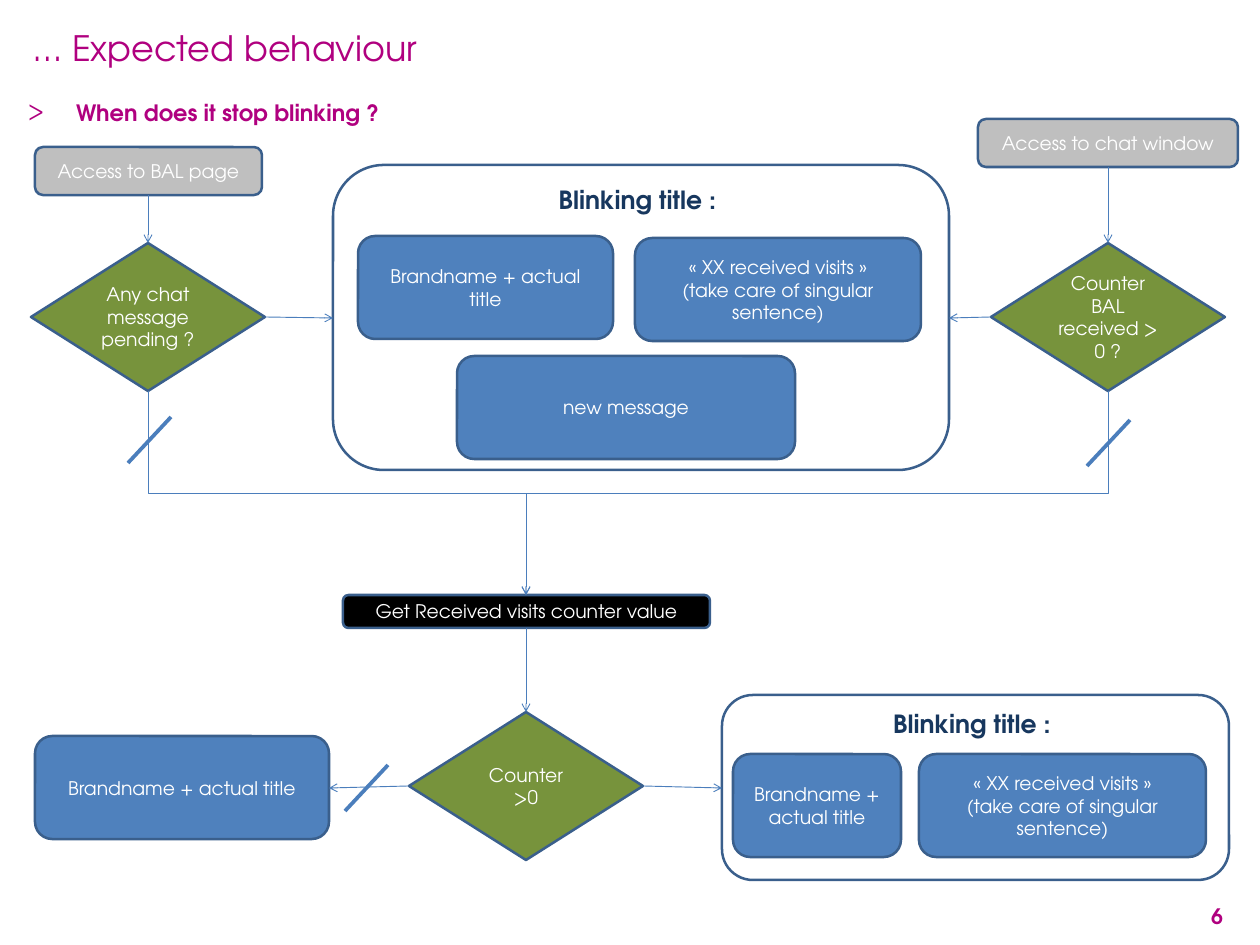
from pptx import Presentation
from pptx.dml.color import RGBColor
from pptx.enum.shapes import MSO_CONNECTOR, MSO_SHAPE
from pptx.enum.text import MSO_ANCHOR, PP_ALIGN
from pptx.oxml.ns import qn
from pptx.util import Pt
from lxml.etree import SubElement

PX = 10160
FONT = "TeX Gyre Adventor"
COLORS = {
    "magenta": "B0007F",
    "navy": "17375E",
    "white": "FFFFFF",
    "grey": "BFBFBF",
    "black": "000000",
    "green": "77933C",
    "blue": "4F81BD",
    "border": "3A5F8C",
    "arrow": "4B7EBC",
}


def write_text(shape, text, size, color, bold, align, anchor):
    frame = shape.text_frame
    frame.word_wrap = True
    frame.vertical_anchor = anchor
    frame.text = text
    for para in frame.paragraphs:
        para.alignment = align
        for span in para.runs:
            span.font.name = FONT
            span.font.size = Pt(size)
            span.font.bold = bold
            span.font.color.rgb = RGBColor.from_string(COLORS[color])


def add_line(kind, points, width, arrow):
    line = page.shapes.add_connector(kind, *[value * PX for value in points])
    line.line.width = Pt(width)
    line.line.color.rgb = RGBColor.from_string(COLORS["arrow"])
    properties = line._element.spPr
    if arrow:
        SubElement(properties.find(qn("a:ln")), qn("a:tailEnd"), type="arrow")
    SubElement(properties, qn("a:effectLst"))
    return line


deck = Presentation()
deck.slide_width = 1260 * PX
deck.slide_height = 945 * PX
page = deck.slides.add_slide(deck.slide_layouts[6])

headings = [
    ("… Expected behaviour", 21, 21, 1123, 53, 28, False, PP_ALIGN.LEFT, MSO_ANCHOR.MIDDLE),
    ("When does it stop blinking ?", 15, 93, 543, 52, 18, True, PP_ALIGN.LEFT, MSO_ANCHOR.TOP),
    ("6", 942, 897, 294, 50, 17, True, PP_ALIGN.RIGHT, MSO_ANCHOR.TOP),
]
for text, left, top, width, height, size, bold, align, anchor in headings:
    box = page.shapes.add_textbox(left * PX, top * PX, width * PX, height * PX)
    frame = box.text_frame
    frame.margin_left = frame.margin_right = 13 * PX
    frame.margin_top = frame.margin_bottom = 6 * PX
    write_text(box, text, size, "magenta", bold, align, anchor)
    if text.startswith("When"):
        bullet = frame.paragraphs[0]._p.get_or_add_pPr()
        bullet.set("marL", str(48 * PX))
        bullet.set("indent", str(-48 * PX))
        bullet_color = SubElement(bullet, qn("a:buClr"))
        SubElement(bullet_color, qn("a:srgbClr"), val=COLORS["magenta"])
        SubElement(bullet, qn("a:buFont"), typeface=FONT)
        SubElement(bullet, qn("a:buChar"), char=">")

brand_title = "Brandname + actual title"
visits = "« XX received visits »\n(take care of singular sentence)"
rounded = MSO_SHAPE.ROUNDED_RECTANGLE
decision = MSO_SHAPE.FLOWCHART_DECISION
nodes = [
    (rounded, "Blinking title : ", 333, 165, 616, 305, None),
    (rounded, "Blinking title : ", 722, 695, 507, 185, None),
    (rounded, "Access to BAL page", 35, 147, 227, 48, "grey"),
    (rounded, "Access to chat window", 978, 119, 260, 48, "grey"),
    (rounded, "Get Received visits counter value", 343, 595, 367, 33, "black"),
    (decision, "Any chat message pending ?", 31, 243, 234, 148, "green"),
    (decision, "Counter BAL received > 0 ?", 991, 243, 234, 148, "green"),
    (decision, "Counter >0", 409, 712, 234, 148, "green"),
    (rounded, brand_title, 358, 236, 255, 103, "blue"),
    (rounded, visits, 635, 238, 286, 103, "blue"),
    (rounded, "new message", 457, 356, 338, 103, "blue"),
    (rounded, brand_title, 35, 736, 294, 103, "blue"),
    (rounded, brand_title, 733, 754, 168, 103, "blue"),
    (rounded, visits, 919, 754, 287, 103, "blue"),
]
for kind, text, left, top, width, height, fill in nodes:
    node = page.shapes.add_shape(kind, left * PX, top * PX, width * PX, height * PX)
    node.shadow.inherit = False
    node.line.width = Pt(2)
    node.line.color.rgb = RGBColor.from_string(COLORS["border"])
    if fill:
        node.fill.solid()
        node.fill.fore_color.rgb = RGBColor.from_string(COLORS[fill])
        write_text(node, text, 15, "white", False, PP_ALIGN.CENTER, MSO_ANCHOR.MIDDLE)
    else:
        node.fill.background()
        write_text(node, text, 20, "navy", True, PP_ALIGN.CENTER, MSO_ANCHOR.TOP)

arrows = [
    (148, 195, 148, 243),
    (1108, 167, 1108, 243),
    (265, 317, 333, 318),
    (991, 317, 949, 318),
    (526, 628, 526, 712),
    (409, 786, 329, 788),
    (643, 786, 722, 788),
]
for points in arrows:
    add_line(MSO_CONNECTOR.STRAIGHT, points, 0.75, True)

for points, rotation in [((439, 304, 235, 682), 270), ((715, 202, 919, 784), 90)]:
    elbow = add_line(MSO_CONNECTOR.ELBOW, points, 0.75, True)
    elbow._element.spPr.find(qn("a:xfrm")).set("rot", str(rotation * 60000))

for left, top in [(128, 417), (1087, 420), (345, 765)]:
    add_line(MSO_CONNECTOR.STRAIGHT, (left + 43, top, left, top + 46), 3, False)

deck.save("out.pptx")
